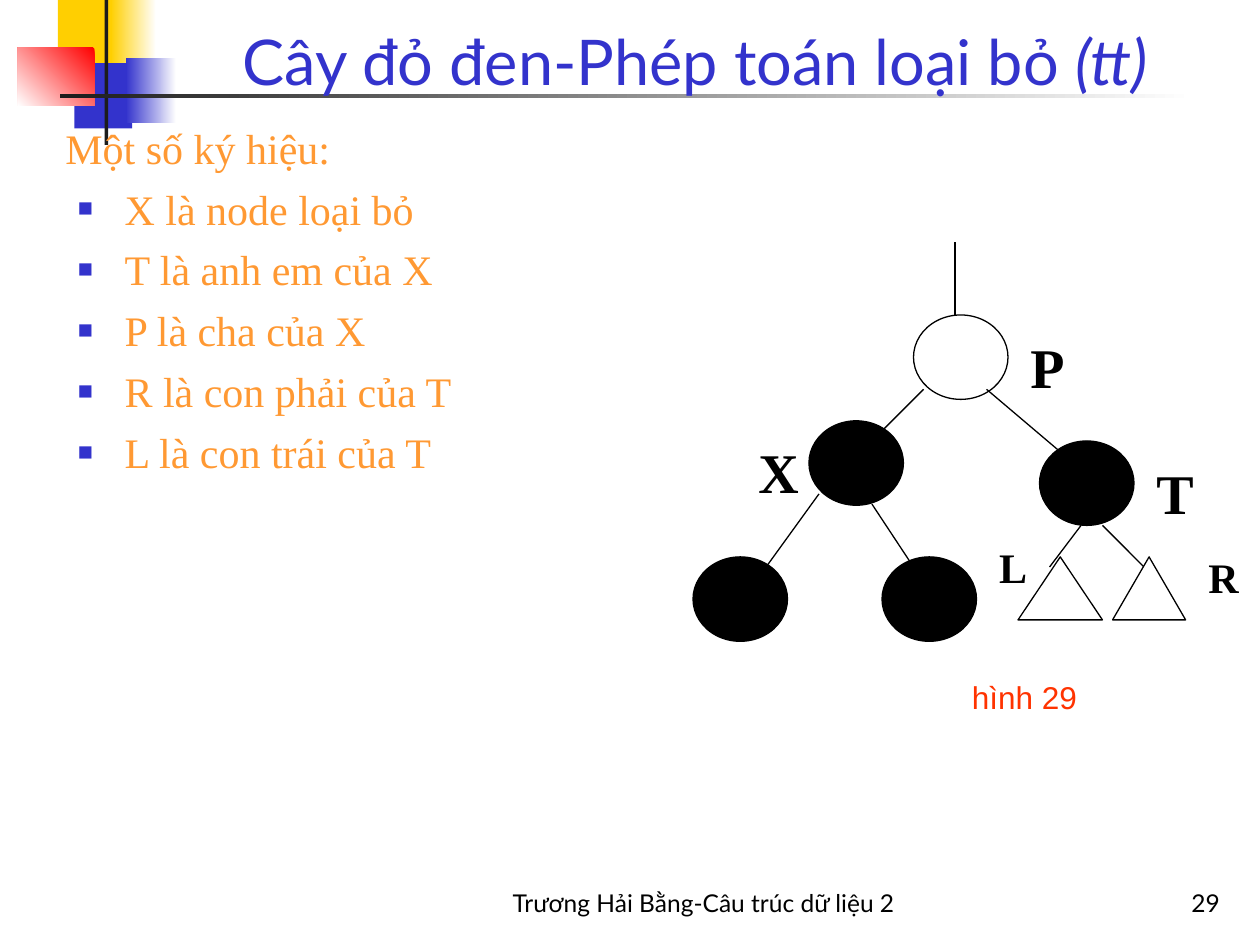
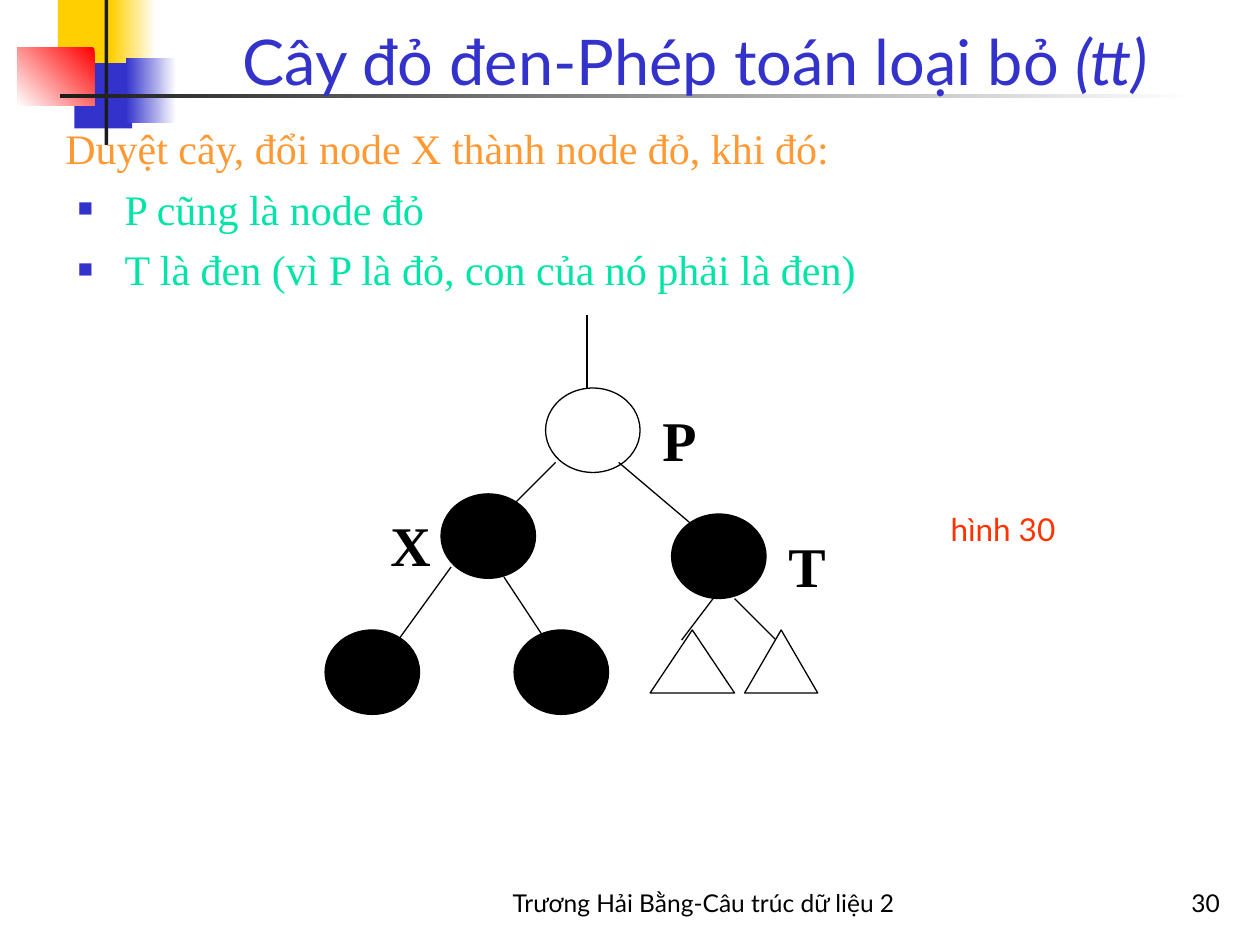
from typing import NamedTuple, Optional

from lxml import etree
from pptx import Presentation
from pptx.dml.color import RGBColor
from pptx.enum.shapes import MSO_CONNECTOR, MSO_SHAPE
from pptx.enum.text import MSO_ANCHOR as ANCHOR, MSO_AUTO_SIZE as AUTO, PP_ALIGN as ALIGN
from pptx.oxml.ns import qn
from pptx.util import Inches, Pt

COLORS = {
    "white": "FFFFFF", "black": "000000", "ink": "1C1C1C", "blue": "3333CC",
    "yellow": "FFCF01", "red": "FF0000", "orange": "FF9933", "mint": "00E4A8",
    "caption": "FF3300",
}
SERIF, LATO, ARIAL = "Times New Roman", "Lato", "Arial"
FOOTER = "Trương Hải Bằng-Câu trúc dữ liệu 2"
NODE_W, NODE_H, TRIANGLE_H = 0.75, 0.67, 0.5


class Box(NamedTuple):
    x: float
    y: float
    w: float
    h: float


class Style(NamedTuple):
    size: float
    font: str
    color: str
    bold: bool = False
    italic: bool = False


class Band(NamedTuple):
    box: Box
    color: str
    end: Optional[str] = None
    angle: float = 180


class Node(NamedTuple):
    x: float
    y: float
    color: str = "black"


class Edge(NamedTuple):
    x1: float
    y1: float
    x2: float
    y2: float


class Subtree(NamedTuple):
    x: float
    y: float
    w: float


class Label(NamedTuple):
    text: str
    box: Box
    style: Style


class Page(NamedTuple):
    number: int
    lead: str
    bullets: list[str]
    bullet_color: str
    tree_x: float
    tree_y: float
    labels: list[Label]


TITLE = Style(36, LATO, "blue")
FOOT = Style(14, LATO, "black")
NODE_NAME = Style(32, SERIF, "black", bold=True)
SUBTREE_NAME = Style(24, SERIF, "black", bold=True)

# Corner ornament and title rule
BANDS = [
    Band(Box(0.46, 0, 0.48, 0.52), "yellow"),
    Band(Box(0.88, 0, 0.36, 0.52), "white", "yellow"),
    Band(Box(0.59, 0.5, 0.46, 0.52), "blue"),
    Band(Box(1, 0.46, 0.4, 0.52), "white", "blue"),
    Band(Box(0.14, 0.38, 0.61, 0.46), "red", "white", 225),
    Band(Box(0.83, 0, 0.03, 1.15), "ink"),
    Band(Box(0.48, 0.75, 9, 0.03), "white", "ink"),
]

# Tree, measured from its own top left corner
NODES = [Node(0.92, 1.42), Node(1.75, 0.58, "white"), Node(2.75, 1.58),
         Node(0, 2.5), Node(1.5, 2.5)]
EDGES = [
    Edge(1.83, 1.17, 1.5, 1.5), Edge(1, 2, 0.58, 2.58),
    Edge(1.42, 2.08, 1.75, 2.58), Edge(2.33, 1.17, 2.92, 1.67),
    Edge(2.08, 0.58, 2.08, 0), Edge(3.08, 2.25, 2.83, 2.58),
    Edge(3.25, 2.25, 3.58, 2.58),
]
SUBTREES = [Subtree(2.58, 2.5, 0.67), Subtree(3.33, 2.5, 0.58)]
NODE_NAMES = [("P", 2.58, 0.67), ("T", 3.58, 1.67), ("X", 0.42, 1.5)]

PAGES = [
    Page(29, "Một số ký hiệu:",
         ["X là node loại bỏ", "T là anh em của X", "P là cha của X",
          "R là con phải của T", "L là con trái của T"],
         "orange", 5.5, 1.92,
         [Label("R", Box(9.42, 4.33, 0.58, 0.5), SUBTREE_NAME),
          Label("L", Box(7.75, 4.25, 0.58, 0.5), SUBTREE_NAME),
          Label("hình 29", Box(7.42, 5.33, 1.42, 0.4), Style(18, ARIAL, "caption"))]),
    Page(30, "Duyệt cây, đổi node X thành node đỏ, khi đó:",
         ["P cũng là node đỏ", "T là đen (vì P là đỏ, con của nó phải là đen)"],
         "mint", 2.58, 2.5,
         [Label("hình 30", Box(7.25, 4, 1.42, 0.4), Style(18, LATO, "caption"))]),
]


def rgb(name: str) -> RGBColor:
    return RGBColor.from_string(COLORS[name])


def add_run(p, text: str, style: Style) -> None:
    r = p.add_run()
    r.text = text
    font = r.font
    font.size, font.name = Pt(style.size), style.font
    font.bold, font.italic = style.bold, style.italic
    font.color.rgb = rgb(style.color)


def add_text_frame(shapes, box: Box, anchor=ANCHOR.TOP):
    tf = shapes.add_textbox(*map(Inches, box)).text_frame
    tf.word_wrap = True
    tf.vertical_anchor = anchor
    return tf


def add_line_of_text(shapes, box: Box, text: str, style: Style, align, anchor=ANCHOR.TOP):
    tf = add_text_frame(shapes, box, anchor)
    p = tf.paragraphs[0]
    p.alignment = align
    add_run(p, text, style)
    return tf


def add_label(shapes, label: Label, align) -> None:
    tf = add_line_of_text(shapes, label.box, label.text, label.style, align)
    tf.auto_size = AUTO.SHAPE_TO_FIT_TEXT


def add_preset(shapes, kind, box: Box, color: str, outlined: bool = True):
    sp = shapes.add_shape(kind, *map(Inches, box))
    sp.shadow.inherit = False
    sp.fill.solid()
    sp.fill.fore_color.rgb = rgb(color)
    if outlined:
        sp.line.color.rgb = rgb("black")
        sp.line.width = Pt(0.75)
    else:
        sp.line.fill.background()
    return sp


def add_band(shapes, band: Band) -> None:
    sp = add_preset(shapes, MSO_SHAPE.RECTANGLE, band.box, band.color, outlined=False)
    if band.end:
        sp.fill.gradient()
        sp.fill.gradient_angle = band.angle
        for stop, color in zip(sp.fill.gradient_stops, (band.color, band.end)):
            stop.color.rgb = rgb(color)


def add_edge(shapes, edge: Edge, x: float, y: float) -> None:
    ends = (x + edge.x1, y + edge.y1, x + edge.x2, y + edge.y2)
    line = shapes.add_connector(MSO_CONNECTOR.STRAIGHT, *map(Inches, ends))
    line.line.color.rgb = rgb("black")
    line.line.width = Pt(0.75)
    etree.SubElement(line._element.spPr, qn("a:effectLst"))


def add_tree(slide, x: float, y: float) -> None:
    shapes = slide.shapes.add_group_shape().shapes
    for node in NODES:
        add_preset(shapes, MSO_SHAPE.OVAL,
                   Box(x + node.x, y + node.y, NODE_W, NODE_H), node.color)
    for edge in EDGES:
        add_edge(shapes, edge, x, y)
    for name, dx, dy in NODE_NAMES:
        add_label(shapes, Label(name, Box(x + dx, y + dy, 0.5, 0.64), NODE_NAME), ALIGN.LEFT)
    for tri in SUBTREES:
        add_preset(shapes, MSO_SHAPE.ISOSCELES_TRIANGLE,
                   Box(x + tri.x, y + tri.y, tri.w, TRIANGLE_H), "white")


def set_bullet(p) -> None:
    pPr = p._p.get_or_add_pPr()
    pPr.set("marL", str(Inches(0.47)))
    pPr.set("indent", str(-Inches(0.37)))
    clr = etree.SubElement(pPr, qn("a:buClr"))
    etree.SubElement(clr, qn("a:srgbClr"), val=COLORS["blue"])
    etree.SubElement(pPr, qn("a:buSzPct"), val="60000")
    etree.SubElement(pPr, qn("a:buFont"), typeface=ARIAL)
    etree.SubElement(pPr, qn("a:buChar"), char="■")


def add_body(slide, page: Page) -> None:
    tf = add_text_frame(slide.shapes, Box(0.42, 0.92, 9.38, 5.79))
    p = tf.paragraphs[0]
    p.space_before = Pt(6)
    add_run(p, page.lead, Style(24, SERIF, "orange"))
    for text in page.bullets:
        p = tf.add_paragraph()
        p.space_before = Pt(6)
        set_bullet(p)
        add_run(p, text, Style(24, SERIF, page.bullet_color))


def add_frame(slide, number: int) -> None:
    shapes = slide.shapes
    for band in BANDS:
        add_band(shapes, band)
    tf = add_line_of_text(shapes, Box(1.26, 0.23, 8.52, 0.6),
                          "Cây đỏ đen-Phép toán loại bỏ ", TITLE, ALIGN.CENTER, ANCHOR.BOTTOM)
    add_run(tf.paragraphs[0], "(tt)", TITLE._replace(italic=True))
    add_line_of_text(shapes, Box(3.5, 6.83, 4.17, 0.5), FOOTER, FOOT,
                     ALIGN.CENTER, ANCHOR.BOTTOM)
    add_line_of_text(shapes, Box(7.7, 6.83, 2.08, 0.5), str(number), FOOT,
                     ALIGN.RIGHT, ANCHOR.BOTTOM)


def main() -> None:
    prs = Presentation()
    prs.slide_width, prs.slide_height = Inches(10), Inches(7.5)
    for page in PAGES:
        slide = prs.slides.add_slide(prs.slide_layouts[6])
        add_frame(slide, page.number)
        add_body(slide, page)
        add_tree(slide, page.tree_x, page.tree_y)
        for label in page.labels:
            add_label(slide.shapes, label, ALIGN.CENTER)
    prs.save("out.pptx")


if __name__ == "__main__":
    main()
